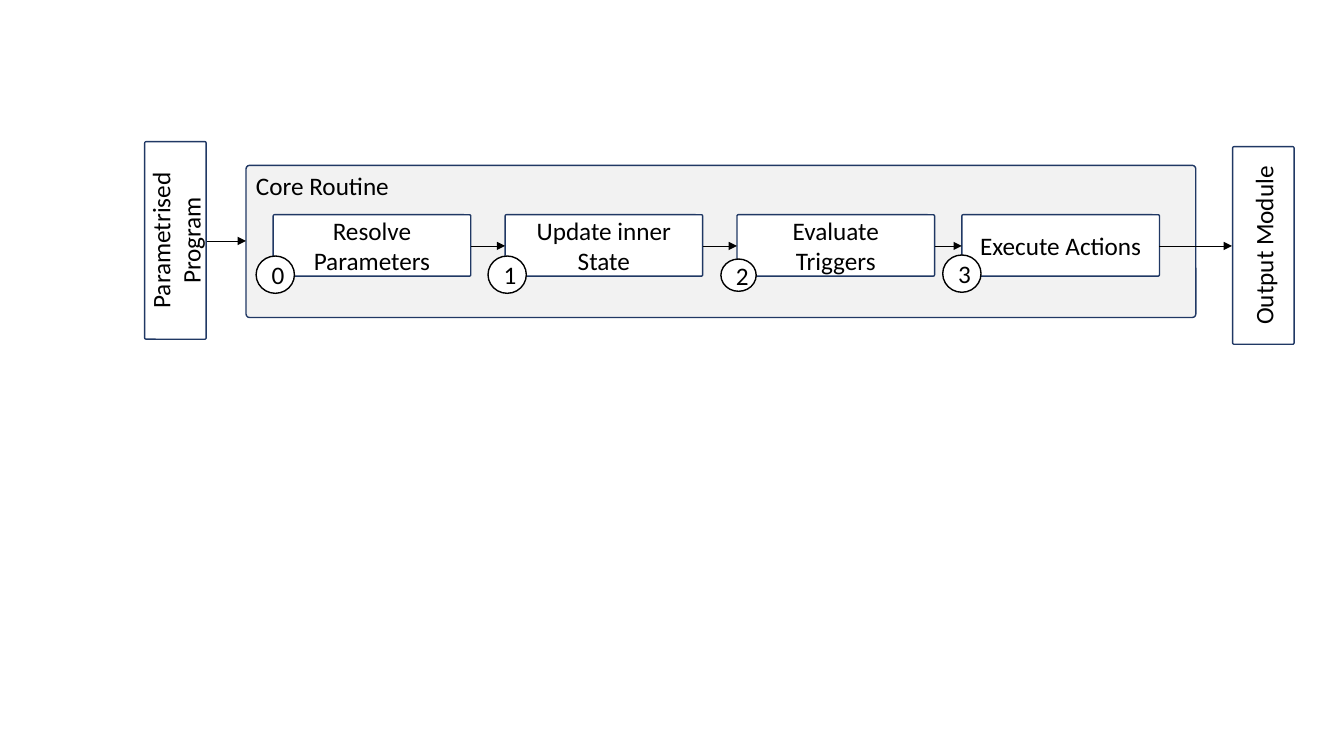
import pptx
import pptx.dml.color
import pptx.enum.shapes
import pptx.enum.text
import pptx.oxml.ns
import pptx.util
from lxml import etree

Inches = pptx.util.Inches
Pt = pptx.util.Pt
RGBColor = pptx.dml.color.RGBColor
MSO_SHAPE = pptx.enum.shapes.MSO_SHAPE
PP_ALIGN = pptx.enum.text.PP_ALIGN
qn = pptx.oxml.ns.qn

BLACK = RGBColor(0x00, 0x00, 0x00)
WHITE = RGBColor(0xFF, 0xFF, 0xFF)
NAVY = RGBColor(0x20, 0x38, 0x64)
LIGHT_GREY = RGBColor(0xF2, 0xF2, 0xF2)

BOX_W, BOX_H = 1.96, 0.61
STEP_TOP = 2.13
STEP_MID = 2.44
CORE_LEFT, CORE_TOP, CORE_W, CORE_H = 2.44, 1.64, 9.42, 1.51
CORE_MID = 2.39
PROGRAM_RIGHT = 2.05
OUTPUT_LEFT = 12.22

# label, box left, number badge (left, top, width, height)
STEPS = [
    ("Resolve Parameters", 2.71, (2.54, 2.54, 0.38, 0.37)),
    ("Update inner State", 5.01, (4.84, 2.54, 0.38, 0.37)),
    ("Evaluate\nTriggers", 7.31, (7.15, 2.57, 0.35, 0.32)),
    ("Execute Actions", 9.54, (9.35, 2.53, 0.38, 0.37)),
]


def set_text(sp, text, align):
    tf = sp.text_frame
    tf.word_wrap = True
    tf.text = text
    for p in tf.paragraphs:
        p.alignment = align
        for r in p.runs:
            r.font.name = "Calibri"
            r.font.size = Pt(18)
            r.font.color.rgb = BLACK


def add_panel(s, kind, at, fill, line, text=""):
    sp = s.shapes.add_shape(kind, *(Inches(v) for v in at))
    sp.shadow.inherit = False
    sp.fill.solid()
    sp.fill.fore_color.rgb = fill
    sp.line.color.rgb = line
    sp.line.width = Pt(1)
    if text:
        sp.text_frame.vertical_anchor = pptx.enum.text.MSO_ANCHOR.MIDDLE
        set_text(sp, text, PP_ALIGN.CENTER)
    return sp


def add_rounded(s, at, fill, text=""):
    sp = add_panel(s, MSO_SHAPE.ROUNDED_RECTANGLE, at, fill, NAVY, text)
    sp.adjustments[0] = 0.023
    return sp


def add_upright_box(s, left, top, text):
    """Add a box turned to read upwards; left and top are before rotation."""
    sp = add_rounded(s, (left, top, BOX_W, BOX_H), WHITE, text)
    sp.rotation = 270


def add_arrow(s, x1, x2, y):
    cn = s.shapes.add_connector(
        pptx.enum.shapes.MSO_CONNECTOR.STRAIGHT,
        Inches(x1), Inches(y), Inches(x2), Inches(y))
    cn.line.color.rgb = BLACK
    cn.line.width = Pt(0.5)
    etree.SubElement(cn.line._get_or_add_ln(), qn("a:tailEnd"), type="triangle")
    etree.SubElement(cn._element.spPr, qn("a:effectLst"))


def add_core_routine(s):
    add_rounded(s, (CORE_LEFT, CORE_TOP, CORE_W, CORE_H), LIGHT_GREY)
    title = s.shapes.add_textbox(
        Inches(CORE_LEFT), Inches(CORE_TOP), Inches(1.65), Inches(0.4))
    set_text(title, "Core Routine", PP_ALIGN.LEFT)
    for number, (label, left, badge) in enumerate(STEPS):
        add_rounded(s, (left, STEP_TOP, BOX_W, BOX_H), WHITE, label)
        add_panel(s, MSO_SHAPE.OVAL, badge, WHITE, BLACK, str(number))


def main():
    prs = pptx.Presentation()
    prs.slide_width = Inches(13.33)
    prs.slide_height = Inches(7.5)
    s = prs.slides.add_slide(prs.slide_layouts[6])

    add_core_routine(s)
    lefts = [left for _, left, _ in STEPS]
    for left, target in zip(lefts, lefts[1:] + [OUTPUT_LEFT]):
        add_arrow(s, left + BOX_W, target, STEP_MID)
    add_arrow(s, PROGRAM_RIGHT, CORE_LEFT, CORE_MID)
    add_upright_box(s, 0.76, 2.08, "Parametrised Program")
    add_upright_box(s, 11.55, 2.13, "Output Module")

    prs.save("out.pptx")


if __name__ == "__main__":
    main()
